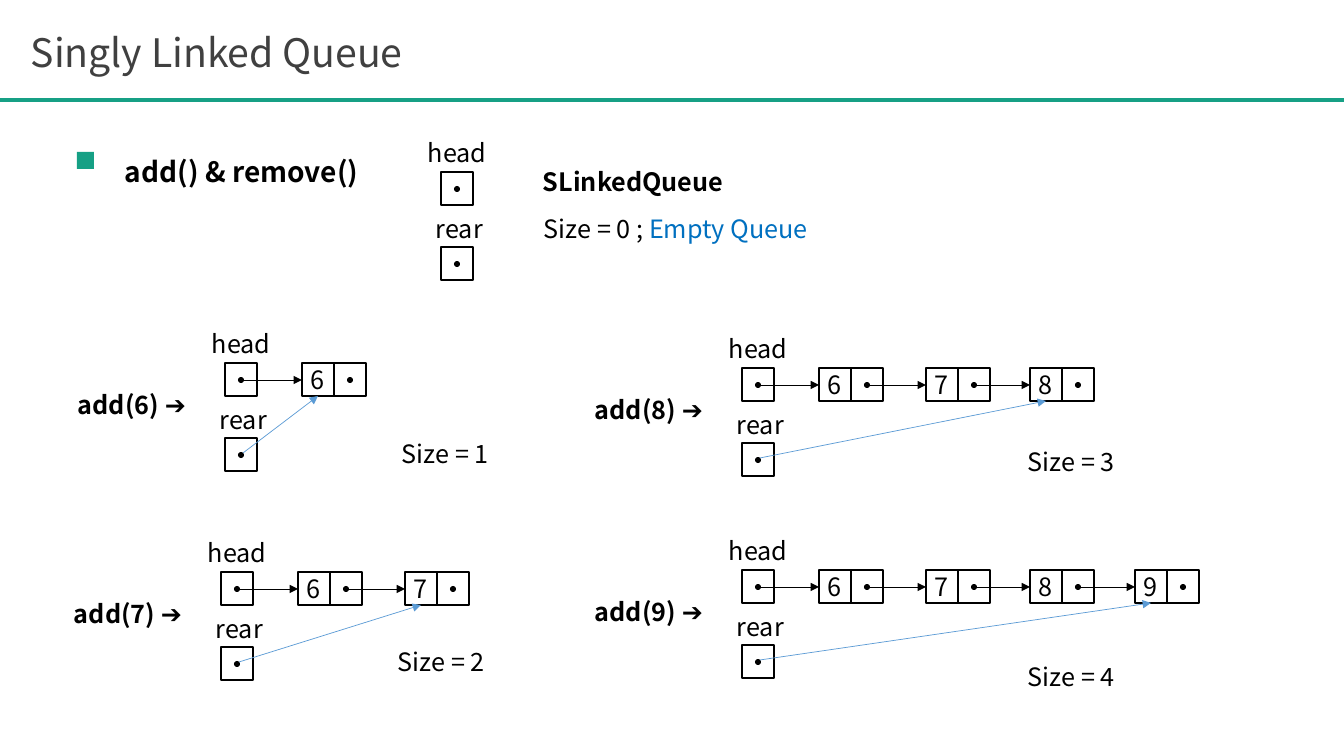
from lxml import etree
from pptx import Presentation, util as u
from pptx.dml.color import RGBColor
from pptx.enum import shapes, text
from pptx.oxml.ns import qn

FONT = "Noto Sans CJK KR"
BLACK = RGBColor(0, 0, 0)
GRAY = RGBColor(0x40, 0x40, 0x40)
GREEN = RGBColor(0x16, 0xA0, 0x85)
BLUE = RGBColor(0x00, 0x70, 0xC0)
SKY = RGBColor(0x5B, 0x9B, 0xD5)

TITLE = "Singly Linked Queue"
TOPIC = "add() & remove()"
CLASS_NAME = "SLinkedQueue"
EMPTY_STATE = [("Size = 0 ; ", BLACK), ("Empty Queue", BLUE)]
EMPTY_AT = (441, 172)
STATES = [
    (225, 363, [6], (167, 70)),
    (221, 572, [6, 7], (167, 69)),
    (742, 368, [6, 7, 8], (276, 73)),
    (742, 570, [6, 7, 8, 9], (276, 86)),
]

NODE_X = [77, 184, 288, 393]
CELL_W, CELL_H = 32, 33
DOT = 6
REAR_DY = 75
ARROW = 59
PX = 914400 / 100.8


def px(*lengths):
    return [u.Emu(round(n * PX)) for n in lengths]


def style(r, size, color, bold=False):
    r.font.name = FONT
    r.font.size = u.Pt(size)
    r.font.bold = bold
    r.font.color.rgb = color


def label(x, y, w, h, runs, size=18, bold=False):
    tf = s.shapes.add_textbox(*px(x, y, w, h)).text_frame
    tf.word_wrap = True
    tf.auto_size = text.MSO_AUTO_SIZE.SHAPE_TO_FIT_TEXT
    p = tf.paragraphs[0]
    for words, color in runs:
        r = p.add_run()
        r.text = words
        style(r, size, color, bold)
    return p


def solid(kind, x, y, size, color):
    sp = s.shapes.add_shape(kind, *px(x, y, size, size))
    sp.shadow.inherit = False
    sp.fill.solid()
    sp.fill.fore_color.rgb = color
    sp.line.fill.background()


def cell(x, y, value=None):
    sp = s.shapes.add_shape(shapes.MSO_SHAPE.RECTANGLE, *px(x, y, CELL_W, CELL_H))
    sp.shadow.inherit = False
    sp.fill.background()
    sp.line.color.rgb = BLACK
    sp.line.width = u.Pt(1.5)
    if value is None:
        solid(shapes.MSO_SHAPE.OVAL, x + 13, y + 14, DOT, BLACK)
        return
    tf = sp.text_frame
    tf.margin_left = tf.margin_right = tf.margin_top = tf.margin_bottom = 0
    tf.vertical_anchor = text.MSO_ANCHOR.MIDDLE
    p = tf.paragraphs[0]
    p.text = str(value)
    p.alignment = text.PP_ALIGN.CENTER
    style(p.runs[0], 18, BLACK)


def line(x1, y1, x2, y2, color, width, arrow=True):
    c = s.shapes.add_connector(shapes.MSO_CONNECTOR.STRAIGHT, *px(x1, y1, x2, y2))
    c.line.color.rgb = color
    c.line.width = u.Pt(width)
    if arrow:
        etree.SubElement(c.line._get_or_add_ln(), qn("a:tailEnd"), type="triangle")
    etree.SubElement(c._element.spPr, qn("a:effectLst"))


def pointers(x, y):
    label(x - 23, y - 40, 96, 40, [("head", BLACK)])
    cell(x, y)
    label(x - 15, y + 36, 96, 40, [("rear", BLACK)])
    cell(x, y + REAR_DY)


def queue(x, y, values, size_at):
    pointers(x, y)
    for dx, value in zip(NODE_X, values):
        node = x + dx
        cell(node, y, value)
        cell(node + CELL_W, y)
        line(node - ARROW, y + 17, node, y + 17, BLACK, 0.5)
    line(x + 18, y + REAR_DY + 15, node + CELL_W / 2, y + CELL_H, SKY, 0.5)
    label(x - 157, y + 21, 135, 40, [(f"add({values[-1]}) ➔", BLACK)], bold=True)
    dx, dy = size_at
    label(x + dx, y + dy, 125, 40, [(f"Size = {len(values)}", BLACK)])


prs = Presentation()
prs.slide_width, prs.slide_height = px(1344, 756)
s = prs.slides.add_slide(prs.slide_layouts[6])

line(0, 100, 1344, 100, GREEN, 3, arrow=False)
label(21, 23, 1023, 57, [(TITLE, GRAY)], size=28)
topic = label(115, 116, 948, 66, [(TOPIC, BLACK)], size=20, bold=True)
topic.line_spacing = 2.0
topic.alignment = text.PP_ALIGN.JUSTIFY
solid(shapes.MSO_SHAPE.RECTANGLE, 77, 152, 17, GREEN)

pointers(*EMPTY_AT)
label(533, 161, 211, 40, [(CLASS_NAME, BLACK)], bold=True)
label(534, 208, 399, 40, EMPTY_STATE)
for state in STATES:
    queue(*state)

prs.save("out.pptx")
